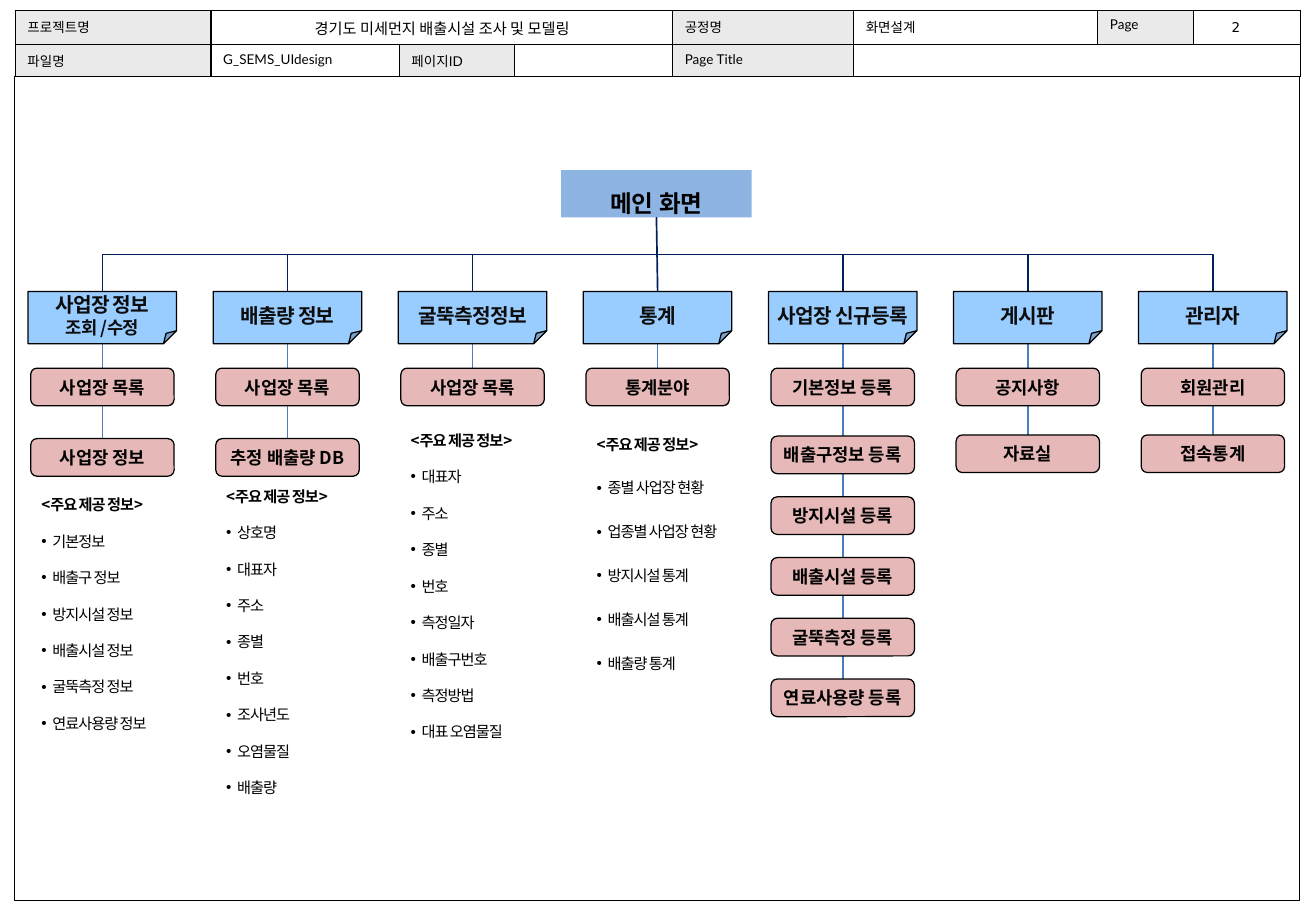
from dataclasses import dataclass
from lxml import etree
from pptx import Presentation
from pptx.dml.color import RGBColor
from pptx.enum.shapes import MSO_CONNECTOR, MSO_SHAPE
from pptx.enum.text import MSO_ANCHOR, MSO_AUTO_SIZE, PP_ALIGN
from pptx.oxml.ns import qn
from pptx.util import Pt

STRAIGHT, ELBOW = MSO_CONNECTOR.STRAIGHT, MSO_CONNECTOR.ELBOW
RECTANGLE, ROUNDED, FOLDED = MSO_SHAPE.RECTANGLE, MSO_SHAPE.ROUNDED_RECTANGLE, MSO_SHAPE.FOLDED_CORNER
TOP, MIDDLE = MSO_ANCHOR.TOP, MSO_ANCHOR.MIDDLE
LEFT, CENTER = PP_ALIGN.LEFT, PP_ALIGN.CENTER
FIXED_SIZE = MSO_AUTO_SIZE.NONE

@dataclass(frozen=True)
class Theme:
    korean: str = "Noto Sans CJK KR"
    header_font: str = "Lato"
    number_font: str = "DejaVu Sans"
    black: str = "000000"
    white: str = "FFFFFF"
    label_fill: str = "EAEAEA"
    root_fill: str = "8EB4E3"
    menu_fill: str = "99CCFF"
    menu_text: str = "0D0D0D"
    page_fill: str = "E6B9B8"
    trunk: str = "002060"
    branch: str = "4B7EBC"
    root_size: float = 14
    menu_size: float = 12
    page_size: float = 10.5
    list_size: float = 9
    header_size: float = 8

THEME = Theme()

# Header cells: (row, column) -> text, is label
HEADER_CELLS = {
    (0, 0): ("프로젝트명", True), (0, 1): ("경기도 미세먼지 배출시설 조사 및 모델링", False),
    (0, 4): ("공정명", True), (0, 5): ("화면설계", False), (0, 6): ("Page", True),
    (1, 0): ("파일명", True), (1, 1): ("G_SEMS_UIdesign", False),
    (1, 2): ("페이지ID", True), (1, 4): ("Page Title", True),
}
HEADER_MERGES = [((0, 1), (0, 3)), ((1, 5), (1, 7))]
HEADER_WIDTHS = [116, 111.6, 68.4, 93.6, 107.3, 144.7, 56.9, 63.3]
HEADER_HEIGHTS = [20.2, 19]
PAGE_NUMBER = "2"
ROOT = "메인 화면"
# Menus: title, top of the second page box, page boxes
MENUS = [
    ("사업장 정보\n조회 /수정", 260, ["사업장 목록", "사업장 정보"]),
    ("배출량 정보", 260, ["사업장 목록", "추정 배출량 DB"]),
    ("굴뚝측정정보", None, ["사업장 목록"]),
    ("통계", None, ["통계분야"]),
    ("사업장 신규등록", 258.5, ["기본정보 등록", "배출구정보 등록", "방지시설 등록",
                         "배출시설 등록", "굴뚝측정 등록", "연료사용량 등록"]),
    ("게시판", 257.8, ["공지사항", "자료실"]),
    ("관리자", 257.8, ["회원관리", "접속통계"]),
]
LIST_HEADING = "<주요 제공 정보>"
# Lists: left, top, width, height, line height, items
LISTS = [
    (18.7, 290.9, 86.4, 149, 10.8,
     ["기본정보", "배출구 정보", "방지시설 정보", "배출시설 정보", "굴뚝측정 정보", "연료사용량 정보"]),
    (128.2, 285.8, 90, 193, 10.8,
     ["상호명", "대표자", "주소", "종별", "번호", "조사년도", "오염물질", "배출량"]),
    (237.6, 252.7, 93.6, 193, 10.8,
     ["대표자", "주소", "종별", "번호", "측정일자", "배출구번호", "측정방법", "대표 오염물질"]),
    (347.8, 252.7, 95, 150, 13,
     ["종별 사업장 현황", "업종별 사업장 현황", "방지시설 통계", "배출시설 통계", "배출량 통계"]),
]

ROOT_BOX = (332.6, 100.8, 113, 28.1)
MENU_LEFT, MENU_TOP, MENU_WIDTH, MENU_HEIGHT, MENU_PITCH = 16.7, 172.8, 88, 31, 109.7
PAGE_TOP, PAGE_WIDTH, PAGE_HEIGHT, PAGE_PITCH = 218.2, 85, 22.3, 36
TRUNK_X, TRUNK_Y = ROOT_BOX[0] + ROOT_BOX[2] / 2, ROOT_BOX[1] + ROOT_BOX[3]

def points(*values):
    return [Pt(value) for value in values]

def paint(target, value):
    target.fill.solid()
    target.fill.fore_color.rgb = RGBColor.from_string(value)

def style(paragraph, size, bold=False, ink=THEME.black, latin=THEME.korean, align=LEFT, tracking=0):
    paragraph.alignment = align
    for run in paragraph.runs:
        run.font.size, run.font.bold, run.font.name = Pt(size), bold, latin
        run.font.color.rgb = RGBColor.from_string(ink)
        properties = run.font._element
        properties.set("spc", str(int(tracking * 100)))
        etree.SubElement(properties, qn("a:ea"), typeface=THEME.korean)
    if not paragraph.runs:
        etree.SubElement(paragraph._p, qn("a:endParaRPr"), sz=str(int(size * 100)))

def set_frame(frame, insets, anchor, wrap):
    frame.margin_left, frame.margin_top, frame.margin_right, frame.margin_bottom = points(*insets)
    frame.vertical_anchor, frame.word_wrap, frame.auto_size = anchor, wrap, FIXED_SIZE

def place(shape, box):
    shape.left, shape.top, shape.width, shape.height = points(*box)

def add_box(slide, kind, box, fill=None):
    shape = slide.shapes.add_shape(kind, *points(*box))
    shape.shadow.inherit = False
    if fill:
        paint(shape, fill)
    else:
        shape.fill.background()
    shape.line.color.rgb, shape.line.width = RGBColor.from_string(THEME.black), Pt(0.75)
    return shape

def add_line(slide, kind, ends, ink):
    line = slide.shapes.add_connector(kind, *points(*ends))
    line.line.color.rgb, line.line.width = RGBColor.from_string(ink), Pt(1)
    etree.SubElement(line._element.spPr, qn("a:effectLst"))
    return line

def add_trunk(slide, x, y):
    """Joins the root to a menu, turning the elbow so that it leaves downwards."""
    if abs(x - TRUNK_X) < 2:
        add_line(slide, STRAIGHT, (TRUNK_X, TRUNK_Y, x, y), THEME.trunk)
        return
    drop, reach = y - TRUNK_Y, abs(x - TRUNK_X)
    middle_x, middle_y = (x + TRUNK_X) / 2, (y + TRUNK_Y) / 2
    side, degrees = (drop / 2, 90) if x < TRUNK_X else (-drop / 2, 270)
    ends = (middle_x - side, middle_y - reach / 2, middle_x + side, middle_y + reach / 2)
    line = add_line(slide, ELBOW, ends, THEME.trunk)
    line._element.spPr.find(qn("a:xfrm")).set("rot", str(degrees * 60000))

def add_border(cell):
    properties = cell._tc.get_or_add_tcPr()
    for position, side in enumerate(("a:lnL", "a:lnR", "a:lnT", "a:lnB")):
        edge = etree.Element(qn(side), w=str(Pt(1)))
        fill = etree.SubElement(edge, qn("a:solidFill"))
        etree.SubElement(fill, qn("a:srgbClr"), val=THEME.black)
        properties.insert(position, edge)

def add_header(slide):
    box = points(9.1, 6.2, sum(HEADER_WIDTHS), sum(HEADER_HEIGHTS))
    table = slide.shapes.add_table(len(HEADER_HEIGHTS), len(HEADER_WIDTHS), *box).table
    table.first_row = table.horz_banding = False
    for column, width in zip(table.columns, HEADER_WIDTHS):
        column.width = Pt(width)
    for row, height in zip(table.rows, HEADER_HEIGHTS):
        row.height = Pt(height)
    for index, cell in enumerate(table.iter_cells()):
        position = divmod(index, len(HEADER_WIDTHS))
        text, label = HEADER_CELLS.get(position, ("", False))
        cell.text_frame.text = text
        is_project = position == (0, 1)
        style(cell.text_frame.paragraphs[0], THEME.header_size + is_project,
              latin=THEME.header_font, align=CENTER if is_project else LEFT)
        paint(cell, THEME.label_fill if label else THEME.white)
        add_border(cell)
    for first, last in HEADER_MERGES:
        table.cell(*first).merge(table.cell(*last))
    add_box(slide, RECTANGLE, (8.6, 45.4, 761.8, 488.2))
    number = slide.shapes.add_textbox(*points(727.2, 3.6, 19.4, 18)).text_frame
    number.text = PAGE_NUMBER
    set_frame(number, [2.9] * 4, TOP, False)
    number.paragraphs[0].line_spacing = 1.5
    style(number.paragraphs[0], THEME.header_size, latin=THEME.number_font)

def add_root(slide):
    title = slide.shapes.title
    place(title, ROOT_BOX)
    paint(title, THEME.root_fill)
    title.text_frame.text = ROOT
    set_frame(title.text_frame, [2.9] * 4, TOP, True)
    title.text_frame.paragraphs[0].line_spacing = 1.5
    style(title.text_frame.paragraphs[0], THEME.root_size, True, align=CENTER)

def add_menu(slide, index, title, second_top, pages):
    left = MENU_LEFT + index * MENU_PITCH
    center = left + MENU_WIDTH / 2
    tops = [PAGE_TOP] + [second_top + step * PAGE_PITCH for step in range(len(pages) - 1)]
    add_trunk(slide, center, MENU_TOP)
    add_line(slide, STRAIGHT, (center, MENU_TOP + MENU_HEIGHT, center, tops[-1]), THEME.branch)
    menu = add_box(slide, FOLDED, (left, MENU_TOP, MENU_WIDTH, MENU_HEIGHT), THEME.menu_fill)
    fold = menu._element.spPr.find(qn("a:prstGeom")).find(qn("a:avLst"))
    etree.SubElement(fold, qn("a:gd"), name="adj", fmla="val 25000")
    menu.text_frame.text = title
    set_frame(menu.text_frame, (7.2, 8.6, 7.2, 3.6), MIDDLE, False)
    for paragraph, size in zip(menu.text_frame.paragraphs, (THEME.menu_size, THEME.page_size)):
        style(paragraph, size, True, THEME.menu_text, align=CENTER, tracking=-0.4)
    for top, name in zip(tops, pages):
        page = add_box(slide, ROUNDED, (left + 1.5, top, PAGE_WIDTH, PAGE_HEIGHT), THEME.page_fill)
        page.text_frame.text = name
        set_frame(page.text_frame, (7.2, 3.6, 7.2, 3.6), MIDDLE, False)
        style(page.text_frame.paragraphs[0], THEME.page_size, True, align=CENTER)

def fill_list(placeholder, box, line_height, items):
    place(placeholder, box)
    frame = placeholder.text_frame
    frame.text = "\n".join([LIST_HEADING] + items)
    set_frame(frame, (5.8, 2.9, 5.8, 2.9), TOP, True)
    for position, paragraph in enumerate(frame.paragraphs):
        style(paragraph, THEME.list_size, position == 0, tracking=-0.6)
        paragraph.line_spacing = Pt(line_height)
        paragraph.space_before = Pt(line_height if position else 0)
        properties = paragraph._p.get_or_add_pPr()
        indent = Pt(6.5) if position else 0
        properties.set("marL", str(indent))
        properties.set("indent", str(-indent))
        bullet = {"char": "•"} if position else {}
        etree.SubElement(properties, qn("a:buChar" if position else "a:buNone"), bullet)

def main():
    presentation = Presentation()
    presentation.slide_width, presentation.slide_height = points(780, 540)
    slide = presentation.slides.add_slide(presentation.slide_layouts.get_by_name("Comparison"))
    add_header(slide)
    add_root(slide)
    for index, menu in enumerate(MENUS):
        add_menu(slide, index, *menu)
    bodies = [shape for shape in slide.placeholders if shape.placeholder_format.idx > 0]
    for body, (*box, line_height, items) in zip(bodies, LISTS):
        fill_list(body, box, line_height, items)
    presentation.save("out.pptx")

if __name__ == "__main__":
    main()
